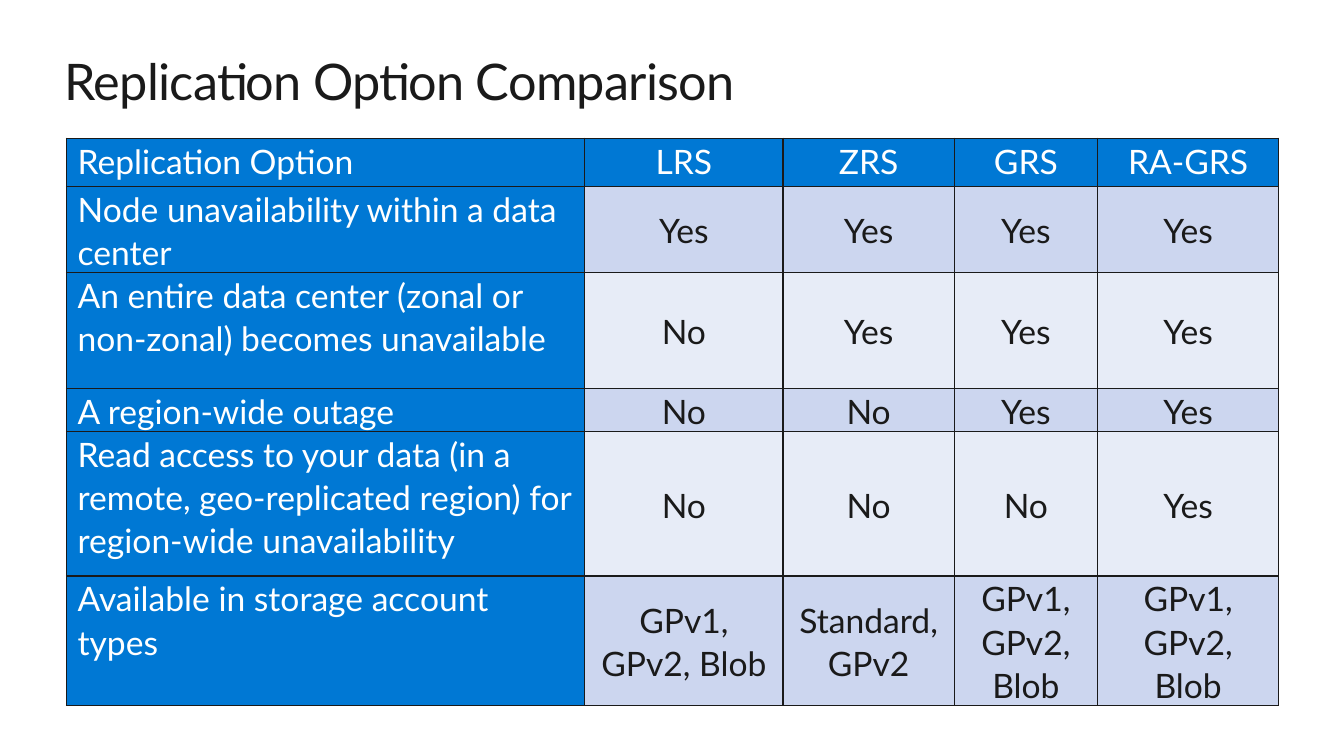
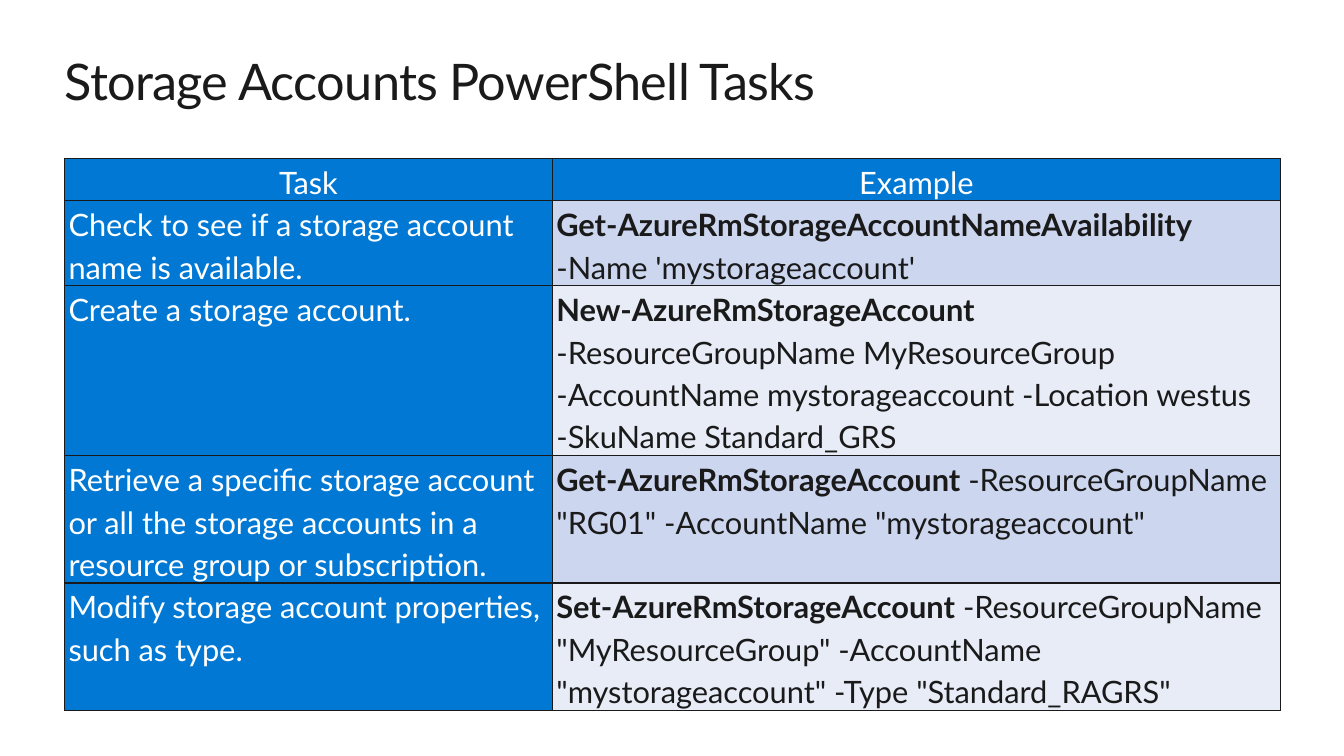
from lxml import etree
from pptx import Presentation
from pptx import util as u
from pptx.dml.color import RGBColor
from pptx.enum import text
from pptx.oxml import ns

BLUE, INK, WHITE = "0078D4", "1A1A1A", "FFFFFF"
BANDS = ("CCD6EF", "E7ECF7")
FONT = "Lato"


def rgb(value):
    return RGBColor.from_string(value)


class Deck:
    """Holds the shared style and the current slide; lengths are percent of the slide."""

    def __init__(self):
        self.prs = Presentation()
        self.prs.slide_width = u.Inches(13.33)
        self.prs.slide_height = u.Inches(7.5)
        self.s = None

    def x(self, share):
        return u.Emu(round(self.prs.slide_width * share / 100))

    def y(self, share):
        return u.Emu(round(self.prs.slide_height * share / 100))

    def style(self, p, size, color):
        for r in p.runs:
            r.font.name, r.font.size = FONT, u.Pt(size)
            r.font.color.rgb = rgb(color)

    def slide(self, title):
        self.s = self.prs.slides.add_slide(self.prs.slide_layouts[5])
        fill = self.s.background.fill
        fill.solid()
        fill.fore_color.rgb = rgb(WHITE)
        sp = self.s.shapes.title
        sp.left, sp.top = self.x(4.8), self.y(6.67)
        sp.width, sp.height = self.x(90.4), self.y(8.13)
        tf = sp.text_frame
        tf.text = title
        tf.word_wrap = True
        tf.auto_size = text.MSO_AUTO_SIZE.SHAPE_TO_FIT_TEXT
        tf.vertical_anchor = text.MSO_ANCHOR.TOP
        tf.margin_left = tf.margin_right = tf.margin_top = tf.margin_bottom = 0
        p = tf.paragraphs[0]
        p.alignment = text.PP_ALIGN.LEFT
        self.style(p, 36, INK)
        p.runs[0].font._element.set("spc", "-50")

    def borders(self, cell):
        tc_pr = cell._tc.get_or_add_tcPr()
        for side in ("lnL", "lnR", "lnT", "lnB"):
            ln = etree.SubElement(tc_pr, ns.qn(f"a:{side}"), w=str(u.Pt(1)))
            fill = etree.SubElement(ln, ns.qn("a:solidFill"))
            etree.SubElement(fill, ns.qn("a:srgbClr"), val=INK)

    def cell(self, cell, content, fill, color, size, spacing, inset, centred, middle):
        self.borders(cell)
        cell.fill.solid()
        cell.fill.fore_color.rgb = rgb(fill)
        cell.margin_left = cell.margin_right = u.Inches(inset)
        cell.margin_top = cell.margin_bottom = 0
        cell.vertical_anchor = text.MSO_ANCHOR.MIDDLE if middle else text.MSO_ANCHOR.TOP
        tf = cell.text_frame
        if isinstance(content, tuple):  # bold command, then its plain arguments
            command, arguments = content
            tf.text = command
            tf.paragraphs[0].runs[0].font.bold = True
            tf.paragraphs[0].add_run().text = arguments
        else:
            tf.text = content
        for p in tf.paragraphs:
            p.line_spacing = spacing
            p.alignment = text.PP_ALIGN.CENTER if centred else text.PP_ALIGN.LEFT
            self.style(p, size, color)

    def table(self, rows, left, top, widths, heights, size, spacing, inset, centred):
        frame = self.s.shapes.add_table(
            len(rows), len(widths), self.x(left), self.y(top),
            self.x(sum(widths)), self.y(sum(heights)))
        table = frame.table
        table.first_row = table.horz_banding = False
        for column, width in zip(table.columns, widths):
            column.width = self.x(width)
        for row, height in zip(table.rows, heights):
            row.height = self.y(height)
        for i, row in enumerate(rows):
            for j, content in enumerate(row):
                heading = i == 0 or j == 0
                fill = BLUE if heading else BANDS[(i - 1) % 2]
                self.cell(table.cell(i, j), content, fill, WHITE if heading else INK,
                          size, spacing, inset, centred(i, j),
                          middle=centred(i, j) and not heading)


def main():
    deck = Deck()

    # Replication options
    deck.slide("Replication Option Comparison")
    accounts = "GPv1, GPv2, Blob"
    deck.table(
        [
            ("Replication Option", "LRS", "ZRS", "GRS", "RA-GRS"),
            ("Node unavailability within a data center", "Yes", "Yes", "Yes", "Yes"),
            ("An entire data center (zonal or non-zonal) becomes unavailable",
             "No", "Yes", "Yes", "Yes"),
            ("A region-wide outage", "No", "No", "Yes", "Yes"),
            ("Read access to your data (in a remote, geo-replicated region) "
             "for region-wide unavailability", "No", "No", "No", "Yes"),
            ("Available in storage account types",
             accounts, "Standard,\nGPv2", accounts, accounts),
        ],
        left=4.95, top=18.27,
        widths=(38.56, 14.75, 12.75, 10.65, 13.5),
        heights=(6.4, 11.4, 15.3, 5.7, 19.1, 17.1),
        size=24, spacing=1.07, inset=0.11,
        centred=lambda i, j: j > 0)

    # PowerShell tasks
    deck.slide("Storage Accounts PowerShell Tasks")
    line = 5.62
    deck.table(
        [
            ("Task", "Example"),
            ("Check to see if a storage account name is available.",
             ("Get-AzureRmStorageAccountNameAvailability",
              " -Name 'mystorageaccount'")),
            ("Create a storage account.",
             ("New-AzureRmStorageAccount",
              " -ResourceGroupName MyResourceGroup -AccountName mystorageaccount"
              " -Location westus -SkuName Standard_GRS")),
            ("Retrieve a specific storage account or all the storage accounts "
             "in a resource group or subscription.",
             ("Get-AzureRmStorageAccount",
              ' -ResourceGroupName "RG01" -AccountName "mystorageaccount"')),
            ("Modify storage account properties, such as type.",
             ("Set-AzureRmStorageAccount",
              ' -ResourceGroupName "MyResourceGroup" -AccountName "mystorageaccount"'
              ' -Type "Standard_RAGRS"')),
        ],
        left=4.8, top=20.93,
        widths=(36.3, 54.17),
        heights=[line * count for count in (1, 2, 4, 3, 3)],
        size=22, spacing=1.15, inset=0.04,
        centred=lambda i, j: i == 0)

    deck.prs.save("out.pptx")


if __name__ == "__main__":
    main()
